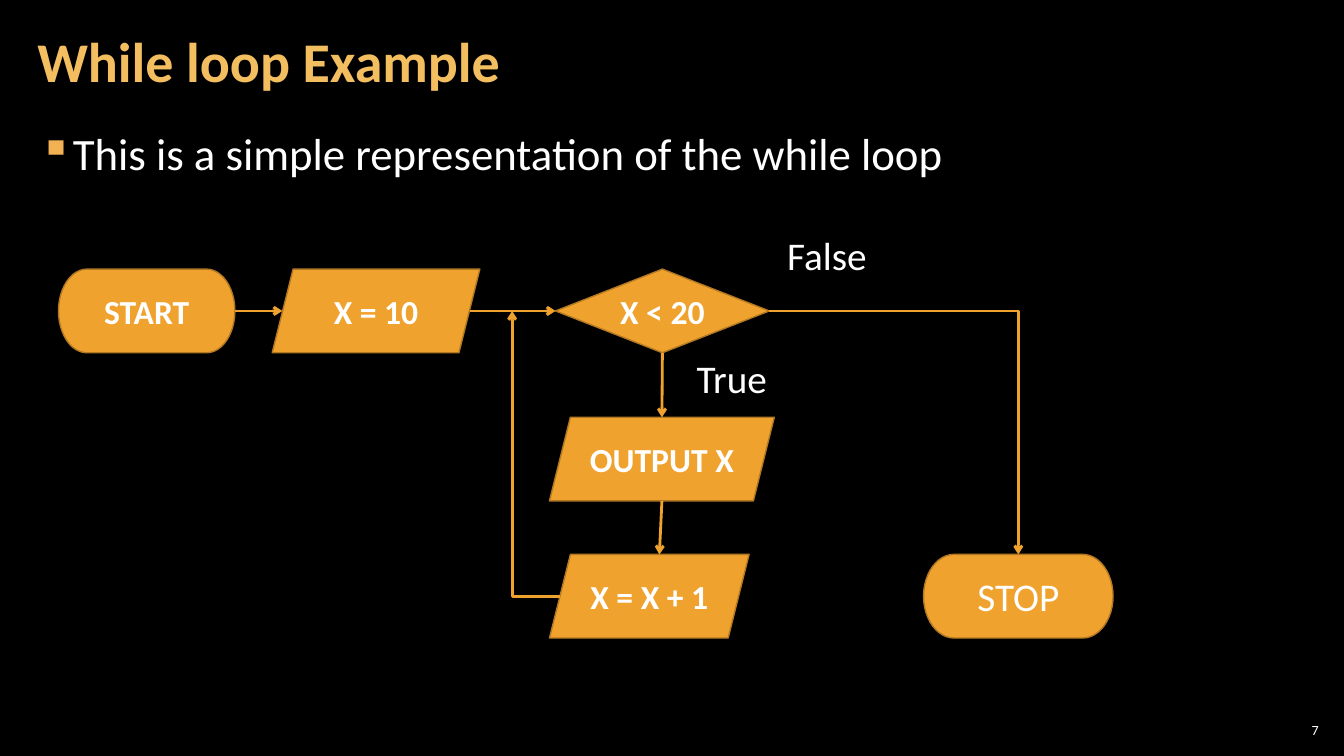
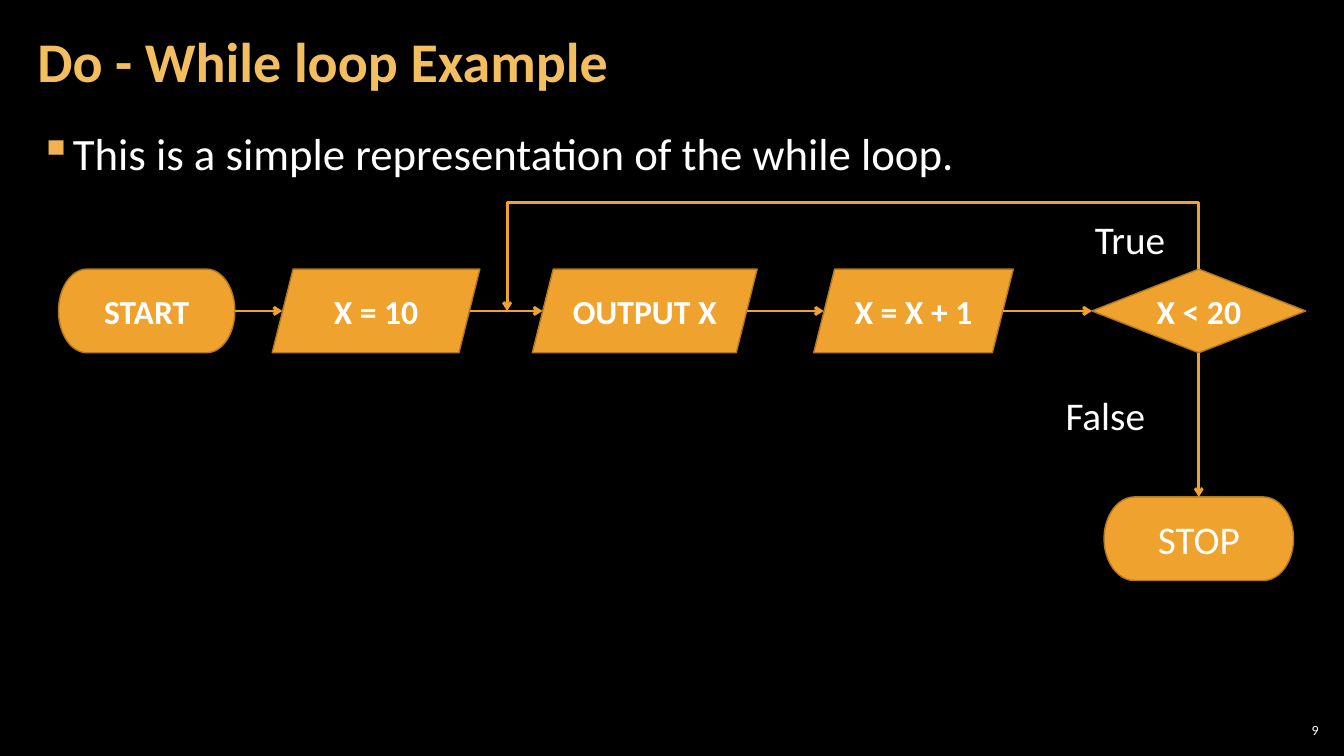
from lxml import etree
from pptx import Presentation, util as u
from pptx.dml.color import RGBColor
from pptx.enum import shapes, text
from pptx.oxml.ns import qn

PX = 9144  # EMU: 100 px to the inch
FONT = "Calibri"
COLORS = {"background": "000000", "title": "F3BE60", "bullet": "F2B254",
          "text": "FFFFFF", "node": "F0A22E", "outline": "B27822"}

TITLE_BOX = (25, 3, 1047, 121)
BODY_BOX = (27, 121, 1217, 100)
NUMBER_BOX = (1265, 714, 47, 21)

ROW_Y, NODE_H = 267, 83
AXIS_Y = ROW_Y + NODE_H / 2
SLANT = 10  # inset of a parallelogram's sides at half height

# kind: preset, is slanted
KINDS = {"terminal": (shapes.MSO_SHAPE.FLOWCHART_TERMINATOR, False),
         "process": (shapes.MSO_SHAPE.PARALLELOGRAM, True),
         "decision": (shapes.MSO_SHAPE.FLOWCHART_DECISION, False)}

# node: kind, width, text format
NODE_TEXT = {"size": u.Pt(24), "bold": True}
LABEL_TEXT = {"size": u.Pt(28)}
NODES = {"START": ("terminal", 175, NODE_TEXT),
         "X = 10": ("process", 206, NODE_TEXT),
         "X < 20": ("decision", 212, NODE_TEXT),
         "OUTPUT X": ("process", 223, NODE_TEXT),
         "X = X + 1": ("process", 198, NODE_TEXT),
         "STOP": ("terminal", 188, LABEL_TEXT)}

# side: connection site, share of width, share of height, slant shift
SIDES = {"top": (0, 0.5, 0, 0), "left": (1, 0, 0.5, SLANT),
         "bottom": (2, 0.5, 1, 0), "right": (3, 1, 0.5, -SLANT),
         "top edge": (0, 0.5, 0, SLANT)}

SLIDES = [
    {"number": "7",
     "title": "While loop Example",
     "body": "This is a simple representation of the while loop",
     "nodes": {"START": (58, ROW_Y), "X = 10": (270, ROW_Y),
               "X < 20": (551, ROW_Y), "OUTPUT X": (545, 414),
               "X = X + 1": (545, 550), "STOP": (916, 550)},
     "arrows": [("START", "right", "X = 10", "left"),
                ("X = 10", "right", "X < 20", "left"),
                ("X < 20", "bottom", "OUTPUT X", "top"),
                ("OUTPUT X", "bottom", "X = X + 1", "top edge"),
                ("X < 20", "right", "STOP", "top")],
     "loop": ("X = X + 1", "left", [(508, 550 + NODE_H / 2), (508, AXIS_Y)]),
     "labels": {"True": (681, 347, 91, 57), "False": (771, 225, 100, 57)}},
    {"number": "9",
     "title": "Do - While loop Example",
     "body": "This is a simple representation of the while loop.",
     "nodes": {"START": (58, ROW_Y), "X = 10": (270, ROW_Y),
               "OUTPUT X": (528, ROW_Y), "X = X + 1": (807, ROW_Y),
               "X < 20": (1083, ROW_Y), "STOP": (1095, 493)},
     "arrows": [("START", "right", "X = 10", "left"),
                ("X = 10", "right", "OUTPUT X", "left"),
                ("OUTPUT X", "right", "X = X + 1", "left"),
                ("X = X + 1", "right", "X < 20", "left"),
                ("X < 20", "bottom", "STOP", "top")],
     "loop": ("X < 20", "top", [(1189, 201), (503, 201), (503, AXIS_Y)]),
     "labels": {"True": (1076, 209, 91, 57), "False": (1047, 383, 100, 57)}},
]


def px(*lengths):
    return [round(length * PX) for length in lengths]


def rgb(name):
    return RGBColor.from_string(COLORS[name])


def assign(target, values):
    for name, value in values.items():
        setattr(target, name, value)


def write(shape, wording, font, color="text", frame=None, paragraph=None):
    """Put one formatted paragraph into a shape and return it."""
    assign(shape.text_frame, frame or {})
    line = shape.text_frame.paragraphs[0]
    assign(line, paragraph or {})
    run = line.add_run()
    run.text = wording
    assign(run.font, {"name": FONT, **font})
    run.font.color.rgb = rgb(color)
    return line


def margins(horizontal, vertical):
    across, down = px(horizontal, vertical)
    return {"margin_left": across, "margin_right": across,
            "margin_top": down, "margin_bottom": down}


def add_bullet(paragraph):
    properties = paragraph._p.get_or_add_pPr()
    indent = px(33)[0]
    properties.set("marL", str(indent))
    properties.set("indent", str(-indent))
    color = etree.SubElement(properties, qn("a:buClr"))
    etree.SubElement(color, qn("a:srgbClr"), val=COLORS["bullet"])
    etree.SubElement(properties, qn("a:buChar"), char="▪")


def add_frame(slide, content):
    """Add the title, the bullet and the slide number."""
    def box(place):
        return slide.shapes.add_textbox(*px(*place))

    middle = {"vertical_anchor": text.MSO_ANCHOR.MIDDLE, "word_wrap": True}
    write(box(NUMBER_BOX), content["number"], {"size": u.Pt(10)},
          frame={**middle, **margins(4, 4)},
          paragraph={"alignment": text.PP_ALIGN.RIGHT})
    write(box(TITLE_BOX), content["title"], {"size": u.Pt(40), "bold": True}, "title",
          frame={**middle, **margins(12, 4)}, paragraph={"line_spacing": 0.9})
    add_bullet(write(box(BODY_BOX), content["body"], {"size": u.Pt(32)},
                     frame={"word_wrap": True, **margins(12, 4)},
                     paragraph={"space_before": u.Pt(6), "space_after": u.Pt(6)}))


def add_node(slide, name, left, top):
    kind, width, font = NODES[name]
    node = slide.shapes.add_shape(KINDS[kind][0], *px(left, top, width, NODE_H))
    node.shadow.inherit = False
    node.fill.solid()
    node.fill.fore_color.rgb = rgb("node")
    node.line.color.rgb = rgb("outline")
    node.line.width = u.Pt(1)
    write(node, name, font, frame={"vertical_anchor": text.MSO_ANCHOR.MIDDLE},
          paragraph={"alignment": text.PP_ALIGN.CENTER})
    return node


def is_slanted(name):
    return KINDS[NODES[name][0]][1]


def side_point(places, name, side):
    left, top = places[name]
    _, across, down, shift = SIDES[side]
    return (left + NODES[name][1] * across + shift * is_slanted(name),
            top + NODE_H * down)


def style_arrow(arrow):
    arrow.line.color.rgb = rgb("node")
    arrow.line.width = u.Pt(2)
    outline = arrow._element.spPr.get_or_add_ln()
    etree.SubElement(outline, qn("a:tailEnd"), type="arrow")


def add_arrow(slide, places, nodes, source, exit_side, target, entry_side):
    """Join two nodes: straight, or with one bend from a right side to a top."""
    bent = (exit_side, entry_side) == ("right", "top")
    kind = shapes.MSO_CONNECTOR.ELBOW if bent else shapes.MSO_CONNECTOR.STRAIGHT
    arrow = slide.shapes.add_connector(
        kind, *px(*side_point(places, source, exit_side),
                  *side_point(places, target, entry_side)))
    if bent:
        arrow._element.spPr.find(qn("a:prstGeom")).set("prst", "bentConnector2")
    if not is_slanted(source):
        arrow.begin_connect(nodes[source], SIDES[exit_side][0])
    if not is_slanted(target):
        arrow.end_connect(nodes[target], SIDES[entry_side][0])
    style_arrow(arrow)
    etree.SubElement(arrow._element.spPr, qn("a:effectLst"))


def add_loop(slide, places, source, exit_side, corners):
    """Draw the way back to the middle of an earlier arrow."""
    start = side_point(places, source, exit_side)
    builder = slide.shapes.build_freeform(*px(*start))
    builder.add_line_segments([px(*corner) for corner in corners], close=False)
    loop = builder.convert_to_shape()
    loop.shadow.inherit = False
    loop.fill.background()
    style_arrow(loop)


def add_flowchart(slide, content):
    places = content["nodes"]
    nodes = {name: add_node(slide, name, *place) for name, place in places.items()}
    for arrow in content["arrows"]:
        add_arrow(slide, places, nodes, *arrow)
    add_loop(slide, places, *content["loop"])
    for wording, place in content["labels"].items():
        write(slide.shapes.add_textbox(*px(*place)), wording, LABEL_TEXT,
              frame={"word_wrap": False})


def main():
    deck = Presentation()
    deck.slide_width, deck.slide_height = u.Inches(13.33), u.Inches(7.5)
    backdrop = deck.slide_master.background.fill
    backdrop.solid()
    backdrop.fore_color.rgb = rgb("background")
    for content in SLIDES:
        slide = deck.slides.add_slide(deck.slide_layouts[6])
        add_frame(slide, content)
        add_flowchart(slide, content)
    deck.save("out.pptx")


if __name__ == "__main__":
    main()
